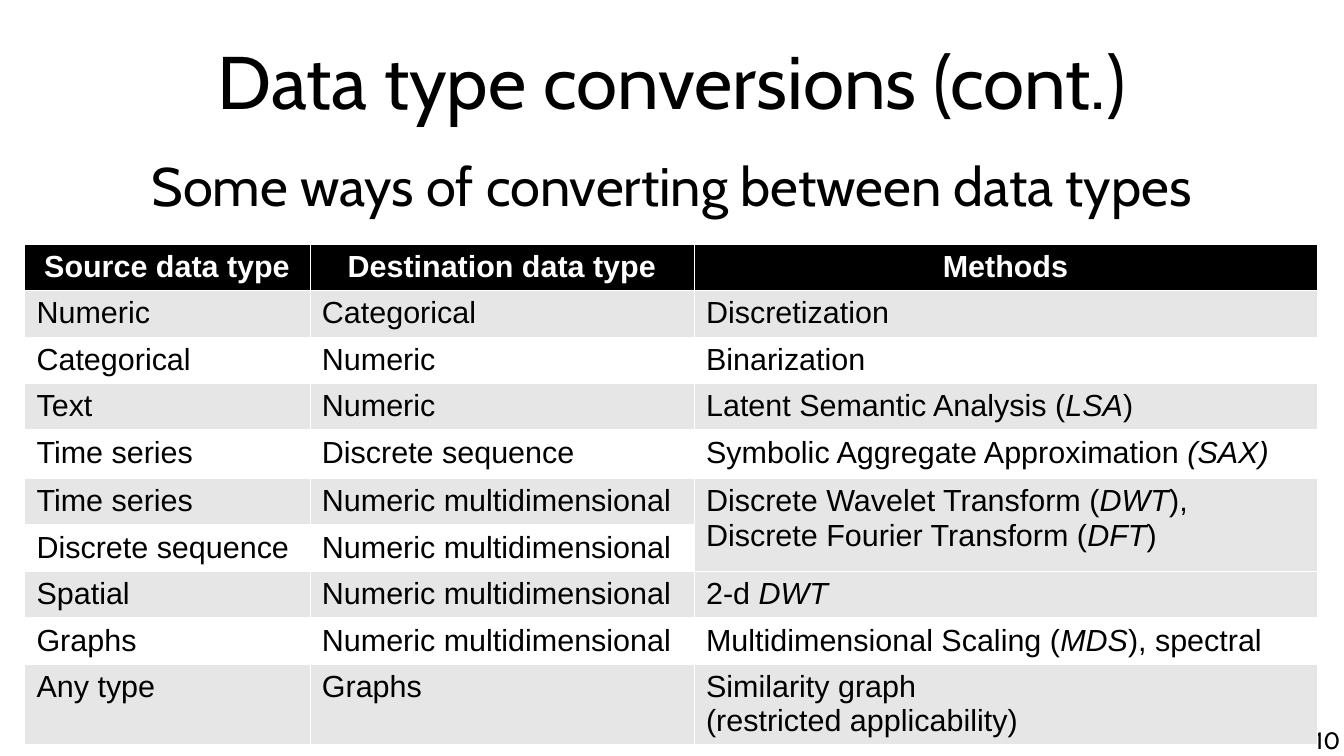
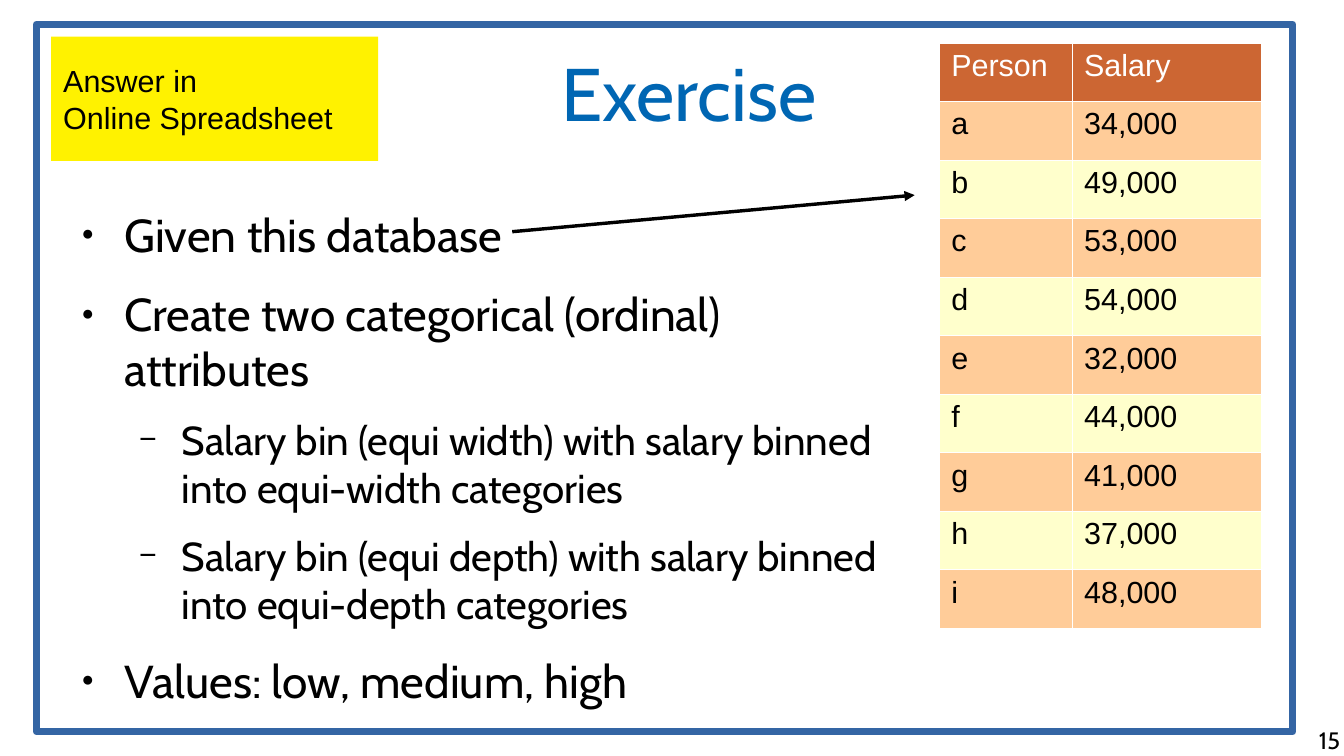
from dataclasses import dataclass, replace
from lxml import etree
from pptx import Presentation
from pptx.dml.color import RGBColor
from pptx.enum.shapes import MSO_CONNECTOR, MSO_SHAPE
from pptx.enum.text import MSO_ANCHOR, MSO_AUTO_SIZE, PP_ALIGN
from pptx.oxml.ns import qn
from pptx.util import Inches, Pt

BLACK, WHITE, GREY = "000000", "FFFFFF", "E6E6E6"
RUST, PEACH, CREAM = "CC6633", "FFCC99", "FFFFCC"
TITLE_BLUE, FRAME_BLUE, YELLOW = "0066B3", "3465A4", "FFF200"


@dataclass(frozen=True)
class TextStyle:
    """Font and alignment of one kind of text."""
    size: float
    font: str = "Cabin"
    color: str = BLACK
    bold: bool = False
    align: PP_ALIGN = PP_ALIGN.LEFT


@dataclass(frozen=True)
class BulletStyle:
    """Mark, indent and spacing of one list level."""
    mark: str
    percent: int
    margin: float
    size: float
    space: float


TITLE = TextStyle(44, align=PP_ALIGN.CENTER)
SUBTITLE = replace(TITLE, size=32)
NUMBER = TextStyle(14, align=PP_ALIGN.RIGHT)
PLAIN = TextStyle(18, "Arial")
HEADER = replace(PLAIN, color=WHITE)
BOLD_HEADER = replace(HEADER, bold=True, align=PP_ALIGN.CENTER)
BULLETS = [BulletStyle("●", 45, 0.47, 27.2, 14.2),
           BulletStyle("−", 75, 0.94, 23.8, 11.3)]
HANGING = 0.35

CONVERSIONS = [
    ("Source data type", "Destination data type", "Methods"),
    ("Numeric", "Categorical", "Discretization"),
    ("Categorical", "Numeric", "Binarization"),
    ("Text", "Numeric", "Latent Semantic Analysis (*LSA*)"),
    ("Time series", "Discrete sequence", "Symbolic Aggregate Approximation* (SAX)*"),
    ("Time series", "Numeric multidimensional",
     "Discrete Wavelet Transform (*DWT*),\nDiscrete Fourier Transform (*DFT*)"),
    ("Discrete sequence", "Numeric multidimensional", ""),
    ("Spatial", "Numeric multidimensional", "2-d *DWT*"),
    ("Graphs", "Numeric multidimensional", "Multidimensional Scaling (*MDS*), spectral"),
    ("Any type", "Graphs", "Similarity graph\v(restricted applicability)"),
]
SALARIES = [
    ("Person", "Salary"), ("a", "34,000"), ("b", "49,000"), ("c", "53,000"),
    ("d", "54,000"), ("e", "32,000"), ("f", "44,000"), ("g", "41,000"),
    ("h", "37,000"), ("i", "48,000"),
]
TASKS = [
    (0, "Given this database"),
    (0, "Create two categorical (ordinal) attributes"),
    (1, "Salary bin (equi width) with salary binned into equi-width categories"),
    (1, "Salary bin (equi depth) with salary binned into equi-depth categories"),
    (0, "Values: low, medium, high"),
]


def rgb(color):
    """Turn a hex string into a colour."""
    return RGBColor.from_string(color)


def fill_solid(target, color):
    """Give a shape or cell a solid fill."""
    target.fill.solid()
    target.fill.fore_color.rgb = rgb(color)


def write_paragraph(paragraph, text, style):
    """Add runs; asterisks enclose italics and a vertical tab breaks the line."""
    paragraph.alignment = style.align
    for index, part in enumerate(text.split("*")):
        for line_index, line in enumerate(part.split("\v")):
            if line_index:
                paragraph.add_line_break()
            if line:
                run = paragraph.add_run()
                run.text = line
                font = run.font
                font.name, font.size, font.bold = style.font, Pt(style.size), style.bold
                font.italic = index % 2 == 1
                font.color.rgb = rgb(style.color)


def write_text(frame, text, style):
    """Write one paragraph for each line of the text."""
    for index, line in enumerate(text.split("\n")):
        paragraph = frame.add_paragraph() if index else frame.paragraphs[0]
        write_paragraph(paragraph, line, style)


def prepare_frame(shape, anchor=MSO_ANCHOR.TOP, inset_x=0, inset_y=0):
    """Set wrapping, anchor and insets of a text frame and return it."""
    frame = shape.text_frame
    frame.word_wrap = True
    frame.auto_size = MSO_AUTO_SIZE.NONE
    frame.vertical_anchor = anchor
    frame.margin_left = frame.margin_right = Inches(inset_x)
    frame.margin_top = frame.margin_bottom = Inches(inset_y)
    return frame


def place(shape, left, top, width, height):
    """Move and size a placeholder."""
    shape.left, shape.top = Inches(left), Inches(top)
    shape.width, shape.height = Inches(width), Inches(height)


def add_slide(presentation, title, title_box, title_color, body_box, number):
    """Add a slide with its title and number, and return it with its body frame."""
    slide = presentation.slides.add_slide(presentation.slide_layouts[1])
    heading, body = slide.placeholders
    place(heading, *title_box)
    write_text(prepare_frame(heading, MSO_ANCHOR.MIDDLE), title,
               replace(TITLE, color=title_color))
    place(body, *body_box)
    number_box = slide.shapes.add_textbox(Inches(8.42), Inches(5.95), Inches(2.57), Inches(0.25))
    write_text(prepare_frame(number_box), number, NUMBER)
    return slide, prepare_frame(body)


def set_bullet(paragraph, bullet):
    """Give a paragraph its bullet, or none."""
    properties = paragraph._p.get_or_add_pPr()
    properties.set("marL", str(Inches(bullet.margin if bullet else 0)))
    properties.set("indent", str(Inches(-HANGING if bullet else 0)))
    if not bullet:
        etree.SubElement(properties, qn("a:buNone"))
        return
    color = etree.SubElement(properties, qn("a:buClr"))
    etree.SubElement(color, qn("a:srgbClr"), val=BLACK)
    etree.SubElement(properties, qn("a:buSzPct"), val=str(bullet.percent * 1000))
    etree.SubElement(properties, qn("a:buChar"), char=bullet.mark)


def write_list(frame, items):
    """Write a bulleted list of level and text pairs."""
    for index, (level, text) in enumerate(items):
        paragraph = frame.add_paragraph() if index else frame.paragraphs[0]
        bullet = BULLETS[level]
        paragraph.level = level
        set_bullet(paragraph, bullet)
        paragraph.space_before = Pt(bullet.space if index else 0)
        write_paragraph(paragraph, text, TextStyle(bullet.size))


def set_borders(cell):
    """Draw hairline white borders around a cell."""
    properties = cell._tc.get_or_add_tcPr()
    for index, side in enumerate(("lnL", "lnR", "lnT", "lnB")):
        line = etree.Element(qn(f"a:{side}"), w=str(Pt(0.06)))
        fill = etree.SubElement(line, qn("a:solidFill"))
        etree.SubElement(fill, qn("a:srgbClr"), val=WHITE)
        properties.insert(index, line)


def add_table(slide, left, top, widths, heights, rows, header_style, fills):
    """Add a table whose fills are the header colour and two band colours."""
    shape = slide.shapes.add_table(len(rows), len(widths), Inches(left), Inches(top),
                                   Inches(sum(widths)), Inches(sum(heights)))
    table = shape.table
    table.first_row = table.horz_banding = False
    for column, width in zip(table.columns, widths):
        column.width = Inches(width)
    for row_index, (row, height, texts) in enumerate(zip(table.rows, heights, rows)):
        row.height = Inches(height)
        color = fills[2 - row_index % 2] if row_index else fills[0]
        for cell, text in zip(row.cells, texts):
            write_text(cell.text_frame, text, PLAIN if row_index else header_style)
            fill_solid(cell, color)
            set_borders(cell)
    return table


def add_rectangle(slide, left, top, width, height):
    """Add a rectangle without shadow, fill or line."""
    shape = slide.shapes.add_shape(MSO_SHAPE.RECTANGLE, Inches(left), Inches(top),
                                   Inches(width), Inches(height))
    shape.shadow.inherit = False
    shape.fill.background()
    shape.line.fill.background()
    return shape


def add_arrow(slide, start, end):
    """Add a hairline arrow between two points."""
    arrow = slide.shapes.add_connector(MSO_CONNECTOR.STRAIGHT, *map(Inches, start + end))
    arrow.line.width = Pt(0)
    arrow.line.color.rgb = rgb(BLACK)
    etree.SubElement(arrow.line._get_or_add_ln(), qn("a:tailEnd"), type="triangle")
    etree.SubElement(arrow._element.spPr, qn("a:effectLst"))


def build_conversions(presentation):
    """Build the slide on data type conversions."""
    slide, body = add_slide(presentation, "Data type conversions (cont.)",
                            (0.55, 0.01, 9.92, 1.29), BLACK, (0.55, 1.25, 9.92, 0.63), "10")
    set_bullet(body.paragraphs[0], None)
    body.paragraphs[0].space_before = Pt(0)
    write_text(body, "Some ways of converting between data types", SUBTITLE)
    heights = [0.38] * 4 + [0.4] + [0.38] * 4 + [0.65]
    table = add_table(slide, 0.2, 2, (2.34, 3.15, 5.11), heights, CONVERSIONS,
                      BOLD_HEADER, (BLACK, GREY, WHITE))
    table.cell(5, 2).merge(table.cell(6, 2))


def build_exercise(presentation):
    """Build the exercise slide."""
    slide, body = add_slide(presentation, "Exercise", (3.7, 0.01, 3.9, 1.49),
                            TITLE_BLUE, (0.55, 1.69, 6.65, 4.01), "15")
    write_list(body, TASKS)
    border = add_rectangle(slide, 0.3, 0.2, 10.3, 5.8)
    border.line.color.rgb = rgb(FRAME_BLUE)
    border.line.width = Pt(4.5)
    add_table(slide, 7.7, 0.35, (1.09, 1.55), [0.48] * len(SALARIES), SALARIES,
              HEADER, (RUST, PEACH, CREAM))
    add_arrow(slide, (4.2, 1.9), (7.5, 1.6))
    note = add_rectangle(slide, 0.42, 0.3, 2.68, 1.02)
    fill_solid(note, YELLOW)
    write_text(prepare_frame(note, MSO_ANCHOR.MIDDLE, 0.1, 0.05),
               "Answer in\vOnline Spreadsheet", PLAIN)


def main():
    """Build and save the presentation."""
    presentation = Presentation()
    presentation.slide_width, presentation.slide_height = Inches(11.02), Inches(6.2)
    build_conversions(presentation)
    build_exercise(presentation)
    presentation.save("out.pptx")


if __name__ == "__main__":
    main()
